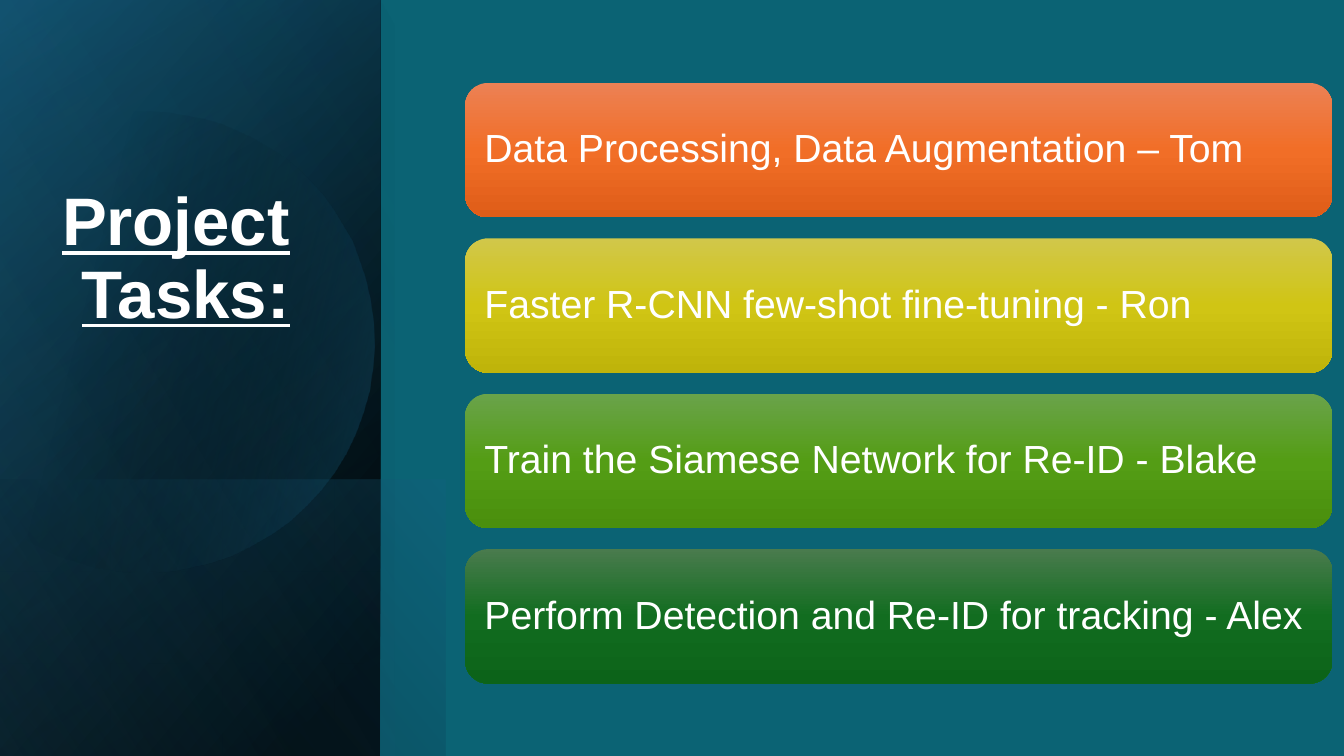
from lxml import etree
from pptx import Presentation
from pptx.dml.color import RGBColor
from pptx.enum.shapes import MSO_SHAPE
from pptx.enum.text import MSO_ANCHOR, PP_ALIGN
from pptx.oxml.ns import qn
from pptx.util import Pt

PX = 9525
RECT, ROUNDED = MSO_SHAPE.RECTANGLE, MSO_SHAPE.ROUNDED_RECTANGLE
LEFT, RIGHT = PP_ALIGN.LEFT, PP_ALIGN.RIGHT
MIDDLE, BOTTOM = MSO_ANCHOR.MIDDLE, MSO_ANCHOR.BOTTOM
FONT = "Arial"
COLORS = {
    "background": "0B6374", "text": "FFFFFF", "black": "000000",
    "navy": "0F4861", "teal": "156082", "sky": "43AFE2",
}

# Bounds, gradient angle, stops of (position %, colour name, opacity %)
PANELS_BELOW_DISC = [
    ((0, 0, 362, 720), 50,
     [(0, "black", 100), (8, "black", 100), (100, "navy", 100)]),
    ((0, 0, 362, 720), 30,
     [(0, "black", 0), (99, "teal", 46), (100, "teal", 46)]),
    ((0, 457, 424, 263), 130,
     [(0, "teal", 29), (2, "teal", 29), (100, "black", 30)]),
]
PANEL_ABOVE_DISC = ((0, 0, 376, 720), 120,
                    [(0, "black", 0), (99, "sky", 11), (100, "sky", 11)])

DISC_START = (143, 106)
DISC_CURVES = [
    ((236, 108), (322, 170), (348, 264)),
    ((382, 381), (315, 502), (199, 536)),
    ((126, 557), (51, 539), (-3, 493)),
    ((-7, 490), (-11, 486), (-14, 483)),
    ((-14, 378), (-14, 273), (-14, 168)),
    ((-10, 163), (-5, 159), (0, 155)),
    ((22, 137), (48, 123), (77, 114)),
    ((99, 108), (121, 106), DISC_START),
]

TASKS = [
    ("Data Processing, Data Augmentation – Tom", ("EC8154", "F16E27", "DF5D18")),
    ("Faster R-CNN few-shot fine-tuning - Ron", ("D1C74A", "D0C514", "BFB40A")),
    ("Train the Siamese Network for Re-ID - Blake", ("6AA34A", "549D15", "4A8F0D")),
    ("Perform Detection and Re-ID for tracking - Alex",
     ("497B4D", "126D20", "0C6319")),
]
CARD_LEFT, CARD_TOP, CARD_W, CARD_H, CARD_PITCH = 443, 79, 826, 128, 148


def paint(sp, angle, stops):
    """Give a shape a linear gradient of (position, hex, opacity) and no outline."""
    sp.shadow.inherit = False
    sp.line.fill.background()
    sp.fill.gradient()
    grad = sp.element.spPr.find(qn("a:gradFill"))
    stop_list = grad.find(qn("a:gsLst"))
    for old in list(stop_list):
        stop_list.remove(old)
    for position, color, opacity in stops:
        gs = etree.SubElement(stop_list, qn("a:gs"), pos=str(position * 1000))
        clr = etree.SubElement(gs, qn("a:srgbClr"), val=color)
        if opacity < 100:
            etree.SubElement(clr, qn("a:alpha"), val=str(opacity * 1000))
    grad.find(qn("a:lin")).set("ang", str(angle * 60000))


def named_stops(stops):
    return [(position, COLORS[name], opacity) for position, name, opacity in stops]


def add_panel(s, bounds, angle, stops):
    """Add a mirrored quarter-turned rectangle that covers the given bounds."""
    x, y, w, h = (v * PX for v in bounds)
    sp = s.shapes.add_shape(RECT, x + (w - h) // 2, y + (h - w) // 2, h, w)
    sp.rotation = 90
    sp.element.spPr.find(qn("a:xfrm")).set("flipH", "1")
    paint(sp, angle, named_stops(stops))


def curve_points(start, curves, steps=16):
    """Sample a chain of cubic Bézier curves."""
    points = []
    for a, b, end in curves:
        for i in range(1, steps + 1):
            t = i / steps
            u = 1 - t
            points.append(tuple(
                u**3 * p0 + 3 * u * u * t * p1 + 3 * u * t * t * p2 + t**3 * p3
                for p0, p1, p2, p3 in zip(start, a, b, end)))
        start = end
    return points


def add_disc(s):
    builder = s.shapes.build_freeform(*DISC_START, scale=PX)
    builder.add_line_segments(curve_points(DISC_START, DISC_CURVES), close=True)
    stops = [(0, "black", 0), (29, "black", 0), (100, "teal", 43)]
    paint(builder.convert_to_shape(), 14, named_stops(stops))


def set_text(sp, text, size, align, anchor, inset_x, inset_y):
    tf = sp.text_frame
    tf.word_wrap = True
    tf.vertical_anchor = anchor
    tf.margin_left = tf.margin_right = inset_x * PX
    tf.margin_top = tf.margin_bottom = inset_y * PX
    tf.text = text
    p = tf.paragraphs[0]
    p.alignment = align
    p.line_spacing = 0.9
    r = p.runs[0]
    r.font.name = FONT
    r.font.size = Pt(size)
    r.font.color.rgb = RGBColor.from_string(COLORS["text"])
    return r


def add_title(s):
    sp = s.shapes.add_textbox(34 * PX, 132 * PX, 252 * PX, 190 * PX)
    r = set_text(sp, "Project Tasks:", 48, RIGHT, BOTTOM, 10, 5)
    r.font.bold = True
    r.font.underline = True


def add_card(s, index, text, shades):
    top = CARD_TOP + index * CARD_PITCH
    sp = s.shapes.add_shape(ROUNDED, CARD_LEFT * PX, top * PX,
                            CARD_W * PX, CARD_H * PX)
    sp.adjustments[0] = 0.17
    paint(sp, 90, [(50 * i, shade, 100) for i, shade in enumerate(shades)])
    set_text(sp, text, 28, LEFT, MIDDLE, 12, 12)


def main():
    prs = Presentation()
    prs.slide_width, prs.slide_height = 1280 * PX, 720 * PX
    s = prs.slides.add_slide(prs.slide_layouts[6])
    s.background.fill.solid()
    s.background.fill.fore_color.rgb = RGBColor.from_string(COLORS["background"])
    for panel in PANELS_BELOW_DISC:
        add_panel(s, *panel)
    add_disc(s)
    add_panel(s, *PANEL_ABOVE_DISC)
    add_title(s)
    for i, (text, shades) in enumerate(TASKS):
        add_card(s, i, text, shades)
    prs.save("out.pptx")


if __name__ == "__main__":
    main()
